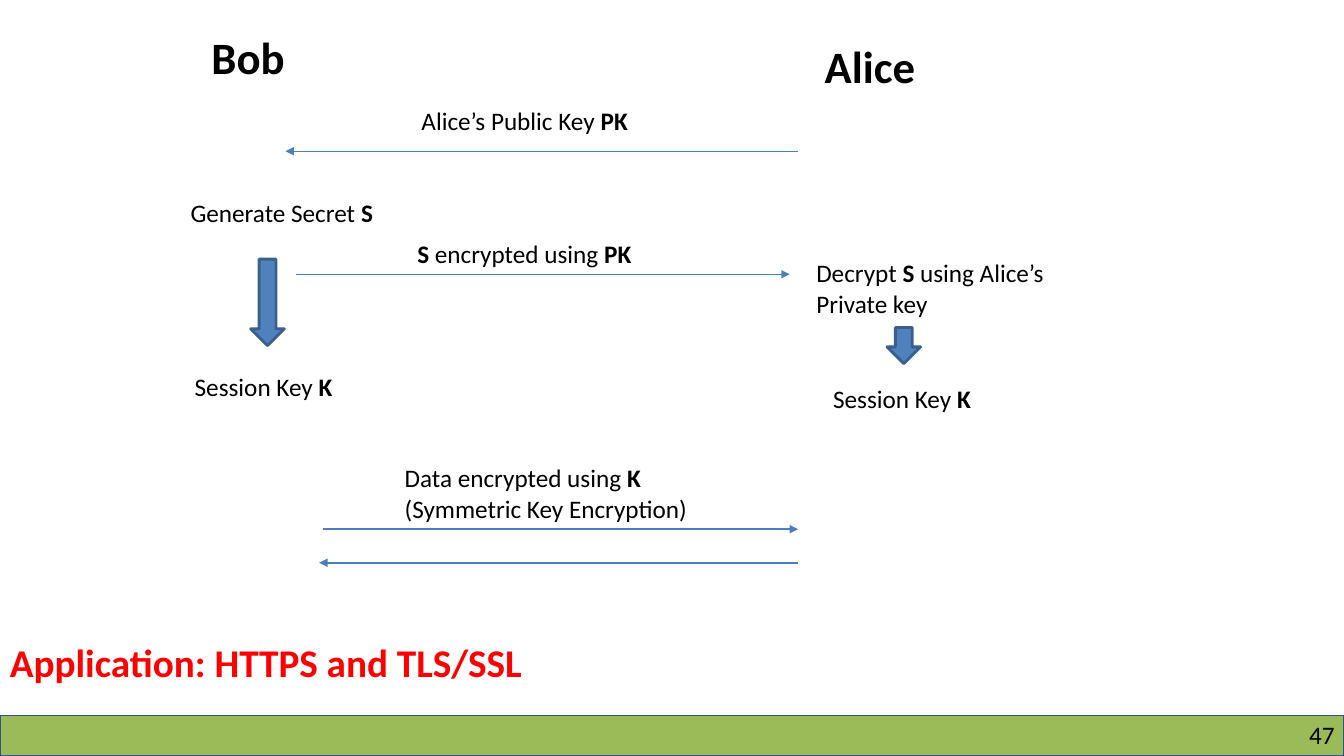
from dataclasses import dataclass

from lxml import etree
from pptx import Presentation
from pptx.dml.color import RGBColor
from pptx.enum.shapes import MSO_CONNECTOR, MSO_SHAPE
from pptx.enum.text import MSO_ANCHOR, MSO_AUTO_SIZE, PP_ALIGN
from pptx.oxml.ns import qn
from pptx.shapes.autoshape import Shape
from pptx.slide import Slide
from pptx.util import Inches, Pt

STRAIGHT = MSO_CONNECTOR.STRAIGHT
RECTANGLE, DOWN_ARROW = MSO_SHAPE.RECTANGLE, MSO_SHAPE.DOWN_ARROW
FIT, TOP = MSO_AUTO_SIZE.SHAPE_TO_FIT_TEXT, MSO_ANCHOR.TOP
LEFT, RIGHT = PP_ALIGN.LEFT, PP_ALIGN.RIGHT

COLUMNS, ROWS = 160, 90
WIDTH, HEIGHT = Inches(13.333), Inches(7.5)
FONT = "Calibri"
COLORS = {
    "text": "000000",
    "accent": "FF0000",
    "message": "4B7EBC",
    "step": "4F81BD",
    "step_edge": "3A5F8C",
    "footer": "9BBB59",
    "footer_edge": "2E528F",
}


@dataclass(frozen=True)
class Box:
    col: float
    row: float
    cols: float
    rows: float


@dataclass(frozen=True)
class Label:
    text: str
    box: Box
    size: float = 18
    color: str = "text"
    wrap: bool = False


@dataclass(frozen=True)
class Message:
    start: float
    end: float
    row: float
    weight: float


@dataclass(frozen=True)
class Block:
    kind: MSO_SHAPE
    box: Box
    fill: str
    edge: str
    weight: float


LABELS = [
    Label("**Bob**", Box(24, 3, 14.4, 7.7), size=32),
    Label("**Alice**", Box(97, 4, 15.2, 7.7), size=32),
    Label("Alice’s Public Key **PK**", Box(49, 11.9, 31.2, 4.8)),
    Label("Generate Secret **S**", Box(21.5, 22.9, 27.5, 4.8)),
    Label("**S** encrypted using **PK**", Box(48.5, 27.75, 31.5, 4.8)),
    Label("Decrypt **S** using Alice’s Private key", Box(96, 30.1, 31, 8.5), wrap=True),
    Label("Session Key **K**", Box(98, 45, 22.1, 4.8)),
    Label("Session Key **K**", Box(22, 43.65, 22.1, 4.8)),
    Label("Data encrypted using **K**\n(Symmetric Key Encryption)", Box(47, 54.5, 40, 8.5)),
    Label("**Application: HTTPS and TLS/SSL**", Box(0, 75.4, 76.8, 6.8), size=28, color="accent"),
]
MESSAGES = [
    Message(95, 34, 18, 0.75),
    Message(35.3, 94, 32.65, 0.75),
    Message(38.4, 95, 63, 1.5),
    Message(95, 38, 67, 1.5),
]
BLOCKS = [
    Block(RECTANGLE, Box(0, 85.2, 160, 4.8), "footer", "footer_edge", 1),
    Block(DOWN_ARROW, Box(105.6, 39, 4, 4.3), "step", "step_edge", 2),
    Block(DOWN_ARROW, Box(29.85, 30.85, 4, 10.3), "step", "step_edge", 2),
]
PAGE_NUMBER = Box(122, 85.8, 36.9, 3.6)


def x(cols: float) -> int:
    return round(WIDTH * cols / COLUMNS)


def y(rows: float) -> int:
    return round(HEIGHT * rows / ROWS)


def place(box: Box) -> tuple[int, int, int, int]:
    return x(box.col), y(box.row), x(box.cols), y(box.rows)


def rgb(name: str) -> RGBColor:
    return RGBColor.from_string(COLORS[name])


def add_text(s: Slide, text: str, box: Box, *, size: float = 18, color: str = "text",
             wrap: bool = False, align: PP_ALIGN = LEFT, inset: bool = True,
             spacing: float | None = None) -> Shape:
    sp = s.shapes.add_textbox(*place(box))
    tf = sp.text_frame
    tf.word_wrap, tf.auto_size, tf.vertical_anchor = wrap, FIT, TOP
    if not inset:
        tf.margin_left = tf.margin_top = tf.margin_right = tf.margin_bottom = 0
    for i, line in enumerate(text.split("\n")):
        p = tf.add_paragraph() if i else tf.paragraphs[0]
        p.alignment = align
        if spacing:
            p.line_spacing = Pt(spacing)
        for j, part in enumerate(line.split("**")):
            if part:
                r = p.add_run()
                r.text = part
                r.font.name, r.font.size, r.font.bold = FONT, Pt(size), j % 2 == 1
                r.font.color.rgb = rgb(color)
    return sp


def add_block(s: Slide, block: Block) -> None:
    sp = s.shapes.add_shape(block.kind, *place(block.box))
    sp.shadow.inherit = False
    sp.fill.solid()
    sp.fill.fore_color.rgb = rgb(block.fill)
    sp.line.color.rgb = rgb(block.edge)
    sp.line.width = Pt(block.weight)


def add_message(s: Slide, message: Message) -> None:
    row = y(message.row)
    cxn = s.shapes.add_connector(STRAIGHT, x(message.start), row, x(message.end), row)
    cxn.line.color.rgb = rgb("message")
    cxn.line.width = Pt(message.weight)
    etree.SubElement(cxn.line._get_or_add_ln(), qn("a:tailEnd"), type="triangle")
    etree.SubElement(cxn._element.spPr, qn("a:effectLst"))


def main() -> None:
    prs = Presentation()
    prs.slide_width, prs.slide_height = WIDTH, HEIGHT
    s = prs.slides.add_slide(prs.slide_layouts[6])
    for block in BLOCKS:
        add_block(s, block)
    for message in MESSAGES:
        add_message(s, message)
    for label in LABELS:
        add_text(s, label.text, label.box, size=label.size, color=label.color, wrap=label.wrap)
    add_text(s, "47", PAGE_NUMBER, wrap=True, align=RIGHT, inset=False, spacing=20.9)
    prs.save("out.pptx")


if __name__ == "__main__":
    main()
